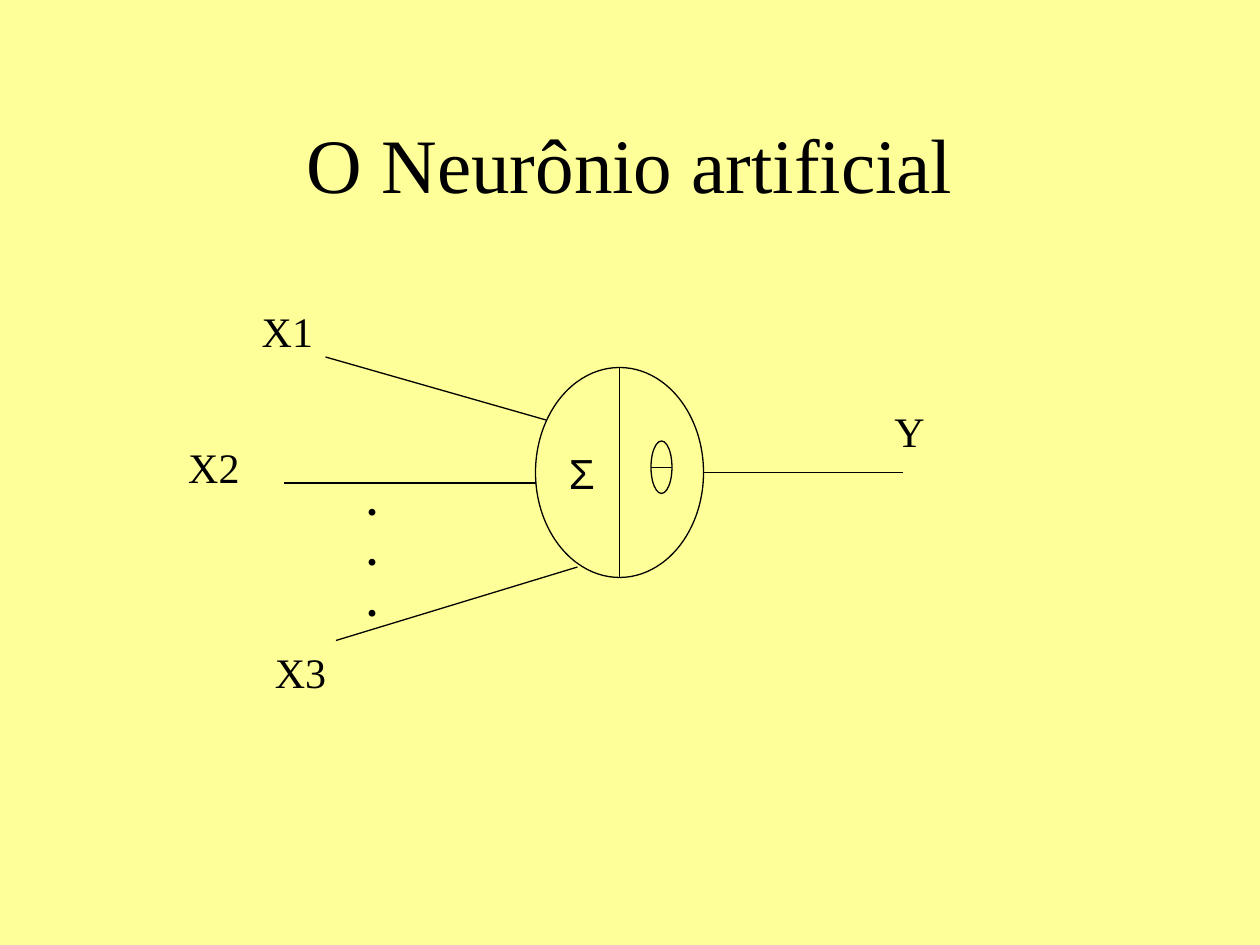
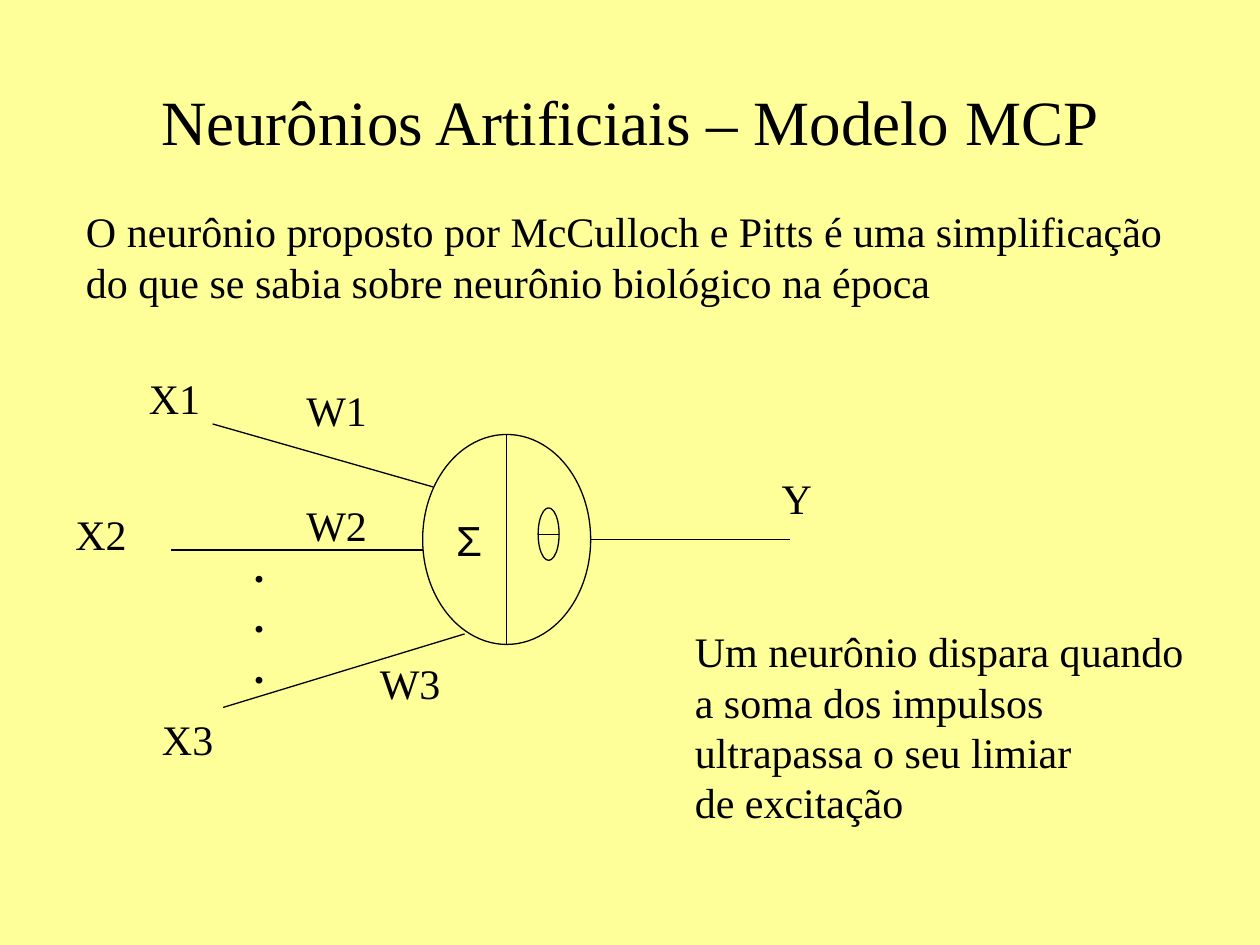
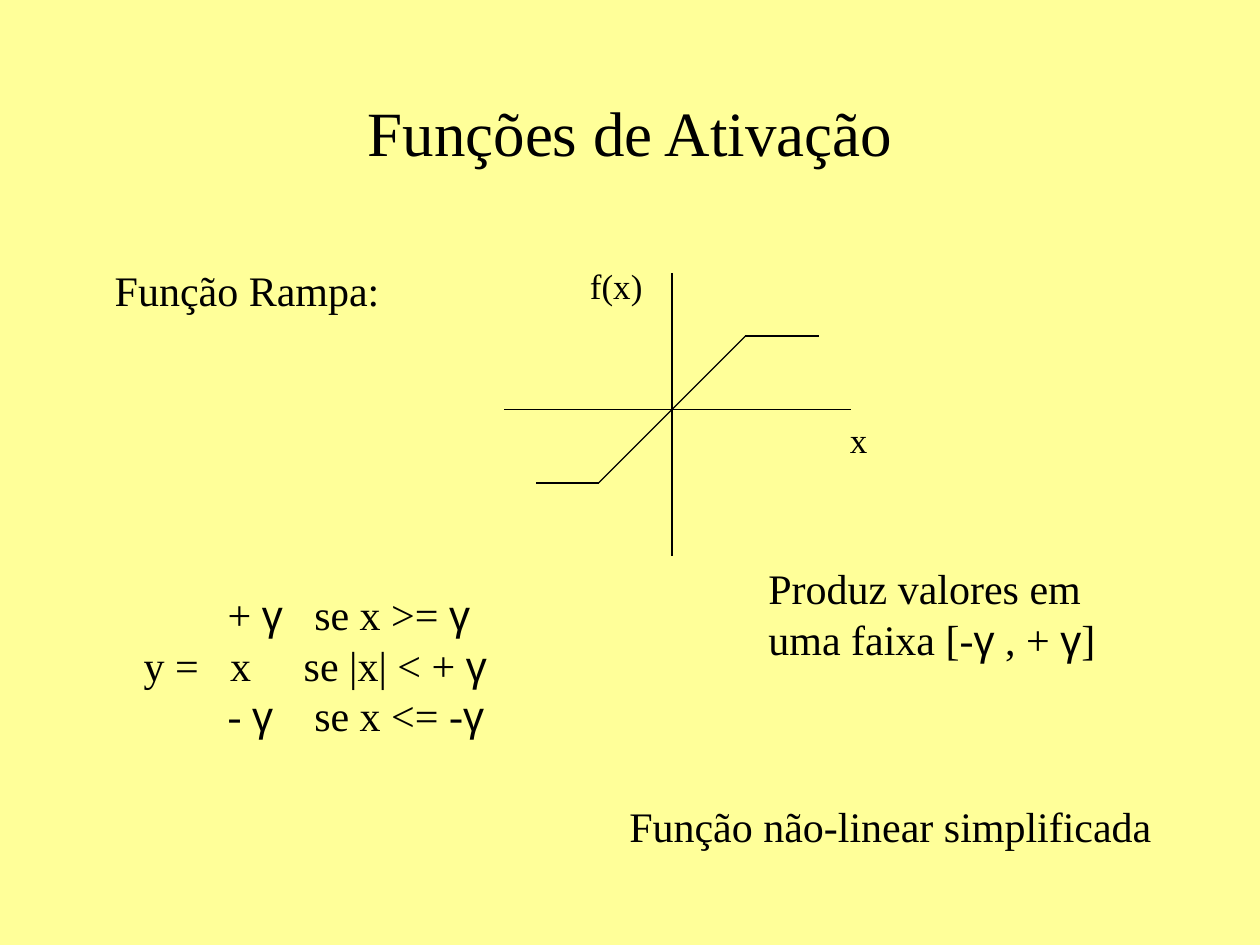
"""Build three slides on the artificial neuron and the ramp activation function."""
import itertools

import lxml.etree
import pptx
import pptx.dml.color
import pptx.enum.shapes
import pptx.enum.text
import pptx.oxml.ns
import pptx.util

PX = 9525
COLORS = {"paper": "FFFF99", "ink": "000000"}
INK = pptx.dml.color.RGBColor.from_string(COLORS["ink"])
GREEK = "γΣ"
FIT = pptx.enum.text.MSO_AUTO_SIZE
OVAL = pptx.enum.shapes.MSO_SHAPE.OVAL
qn = pptx.oxml.ns.qn


def write(frame, lines, size=24, bold=False, align="LEFT", tabs=(), **frame_format):
    """Fill a text frame, one paragraph a line, with Greek letters in Arial."""
    for attribute, value in frame_format.items():
        setattr(frame, attribute, value)
    for index, (line, stops) in enumerate(itertools.zip_longest(lines, tabs)):
        paragraph = frame.add_paragraph() if index else frame.paragraphs[0]
        paragraph.alignment = getattr(pptx.enum.text.PP_ALIGN, align)
        if stops:
            tab_list = lxml.etree.SubElement(paragraph._p.get_or_add_pPr(), qn("a:tabLst"))
            for stop in stops:
                lxml.etree.SubElement(tab_list, qn("a:tab"), pos=str(stop * PX), algn="l")
        for is_greek, letters in itertools.groupby(line, lambda letter: letter in GREEK):
            run = paragraph.add_run()
            run.text = "".join(letters)
            font_format = {"name": "Arial" if is_greek else "Times New Roman",
                           "size": pptx.util.Pt(size), "bold": bold}
            for attribute, value in font_format.items():
                setattr(run.font, attribute, value)
            run.font.color.rgb = INK


def draw_line(shapes, *ends):
    """Draw a thin straight line from x1, y1 to x2, y2."""
    line = shapes.add_connector(pptx.enum.shapes.MSO_CONNECTOR.STRAIGHT,
                                *(end * PX for end in ends))
    line.line.color.rgb = INK
    line.line.width = pptx.util.Pt(0.75)
    lxml.etree.SubElement(line._element.spPr, qn("a:effectLst"))


presentation = pptx.Presentation()
presentation.slide_width, presentation.slide_height = 960 * PX, 720 * PX
backdrop = presentation.slide_master.background.fill
backdrop.solid()
backdrop.fore_color.rgb = pptx.dml.color.RGBColor.from_string(COLORS["paper"])

headings = [
    ("O Neurônio artificial", 64, 120, 44),
    ("Neurônios Artificiais – Modelo MCP", 56, 72, 36),
    ("Funções de Ativação", 64, 72, 36),
]
slides = []
for heading, top, height, size in headings:
    slide = presentation.slides.add_slide(presentation.slide_layouts[5])
    title = slide.shapes.title
    place = {"left": 72, "top": top, "width": 816, "height": height}
    for attribute, value in place.items():
        setattr(title, attribute, value * PX)
    write(title.text_frame, [heading], size, align="CENTER", auto_size=FIT.NONE,
          word_wrap=True, vertical_anchor=pptx.enum.text.MSO_ANCHOR.MIDDLE)
    slides.append(slide)
neuron_slide, mcp_slide, ramp_slide = slides

neuron_lines = [
    (8, 40, -160, -8),
    (0, 88, -192, 88),
    (32, 152, -152, 208),
    (128, 80, 280, 80),
    (64, 0, 64, 160),
]
neuron_labels = [
    ("X1", -218, -52, 60),
    ("X2", -274, 52, 60),
    ("X3", -208, 208, 60),
    ("Y", 264, 24, 42),
    ("Σ", 16, 56, 38),
]
labels = []
for slide, x, y in [(neuron_slide, 408, 280), (mcp_slide, 322, 331)]:
    theta = slide.shapes.add_group_shape()
    for shapes, left, top, width, height in [(slide.shapes, x, y, 128, 160),
                                             (theta.shapes, x + 88, y + 56, 16, 40)]:
        oval = shapes.add_shape(OVAL, left * PX, top * PX, width * PX, height * PX)
        oval.shadow.inherit = False
        oval.fill.background()
        oval.line.color.rgb = INK
        oval.line.width = pptx.util.Pt(0.75)
    draw_line(theta.shapes, x + 88, y + 76, x + 104, y + 76)
    for x1, y1, x2, y2 in neuron_lines:
        draw_line(slide.shapes, x + x1, y + y1, x + x2, y + y2)
    for name, dx, dy, width in neuron_labels:
        labels.append((slide, x + dx, y + dy, width, 48, [name], {}))
    labels.append((slide, x - 138, y + 76, 28, 125, ["."] * 3, {"bold": True}))

for weight, left, top in [("W1", 224, 288), ("W2", 224, 376), ("W3", 280, 496)]:
    labels.append((mcp_slide, left, top, 70, 48, [weight], {"auto_size": FIT.NONE}))

ramp_lines = [
    (512, 208, 512, 424),
    (384, 312, 648, 312),
    (456, 368, 568, 256),
    (568, 256, 624, 256),
    (456, 368, 408, 368),
]
for ends in ramp_lines:
    draw_line(ramp_slide.shapes, *ends)

labels += [
    (mcp_slide, 56, 152, 848, 86,
     ["O neurônio proposto por McCulloch e Pitts é uma simplificação",
      "do que se sabia sobre neurônio biológico na época"], {}),
    (mcp_slide, 520, 472, 392, 163,
     ["Um neurônio dispara quando", "a soma dos impulsos",
      "ultrapassa o seu limiar", "de excitação"], {}),
    (ramp_slide, 78, 197, 222, 48, ["Função Rampa:"], {}),
    (ramp_slide, 638, 314, 33, 42, ["x"], {"size": 20}),
    (ramp_slide, 440, 197, 59, 42, ["f(x)"], {"size": 20}),
    (ramp_slide, 100, 444, 283, 125,
     ["\t+ γ\tse x >= γ", "y =\tx\tse |x| < + γ", "\t- γ\tse x <= -γ"],
     {"tabs": [(64, 130), (66, 122), (64, 130)], "word_wrap": True}),
    (ramp_slide, 576, 424, 312, 86,
     ["Produz valores em", "uma faixa [-γ , + γ]"], {"word_wrap": True}),
    (ramp_slide, 470, 605, 417, 48, ["Função não-linear simplificada"], {}),
]
for slide, left, top, width, height, lines, text_format in labels:
    label = slide.shapes.add_textbox(left * PX, top * PX, width * PX, height * PX)
    write(label.text_frame, lines,
          **{"word_wrap": False, "auto_size": FIT.SHAPE_TO_FIT_TEXT, **text_format})

presentation.save("out.pptx")
